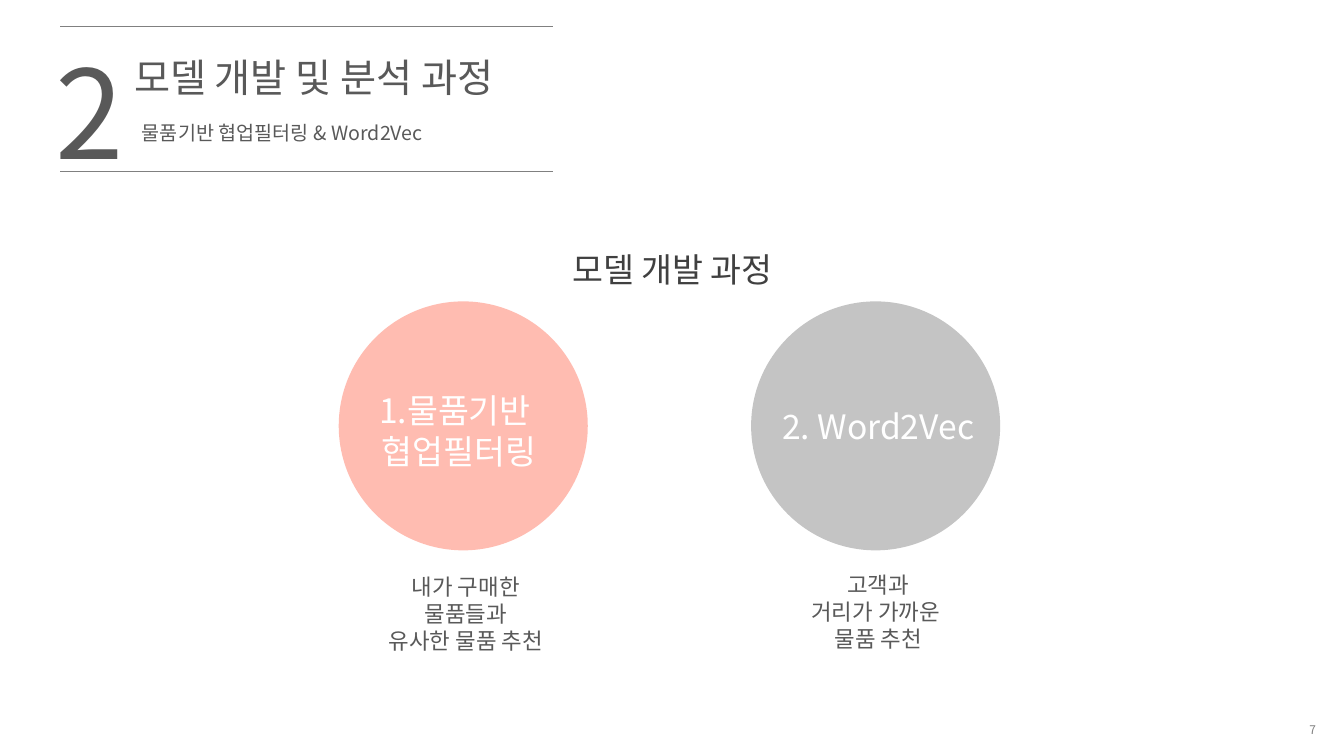
from lxml import etree
from pptx import Presentation
from pptx import util as u
from pptx.dml.color import RGBColor
from pptx.enum import shapes, text
from pptx.oxml.ns import qn

FONT = "Noto Sans CJK KR"
COLORS = {"text": "595959", "heading": "404040", "rule": "808080",
          "white": "FFFFFF", "coral": "FF6E57", "gray": "C4C4C4"}
LEFT, CENTER, RIGHT = (text.PP_ALIGN.LEFT, text.PP_ALIGN.CENTER,
                       text.PP_ALIGN.RIGHT)


def rgb(name):
    return RGBColor.from_string(COLORS[name])


def place(sp, x, y, w, h):
    sp.left, sp.top, sp.width, sp.height = map(u.Inches, (x, y, w, h))


def write(sp, lines, size, color="text", align=LEFT):
    """Fill a text shape with one paragraph per line, at a 1.2 em pitch."""
    tf = sp.text_frame
    tf.word_wrap = True
    tf.auto_size = text.MSO_AUTO_SIZE.NONE
    tf.vertical_anchor = text.MSO_ANCHOR.TOP
    tf.margin_top = u.Inches(0.05) + u.Pt(0.09 * size)
    for i, line in enumerate(lines):
        p = tf.add_paragraph() if i else tf.paragraphs[0]
        p.alignment = align
        p.line_spacing = u.Pt(1.2 * size)
        r = p.add_run()
        r.text = line
        r.font.size = u.Pt(size)
        r.font.name = FONT
        r.font.color.rgb = rgb(color)
        ea = etree.SubElement(r._r.get_or_add_rPr(), qn("a:ea"))
        ea.set("typeface", FONT)
    return tf


def add_text(s, box, *args, **kwargs):
    sp = s.shapes.add_textbox(*map(u.Inches, box))
    return write(sp, *args, **kwargs)


def add_rule(s, x, y, w):
    line = s.shapes.add_connector(
        shapes.MSO_CONNECTOR.STRAIGHT,
        *map(u.Inches, (x, y, x + w, y)))
    line.line.color.rgb = rgb("rule")
    line.line.width = u.Pt(0.75)
    etree.SubElement(line._element.spPr, qn("a:effectLst"))


def add_header(s, x, y, w, h, number, title, subtitle):
    """Section number, title and subtitle between two rules."""
    for rule_y in (y, y + h):
        add_rule(s, x, rule_y, w)
    place(s.shapes.title, x + 0.63, y + 0.18, 4.49, 0.57)
    write(s.shapes.title, [title], 28)
    add_text(s, (x + 0.71, y + 0.87, 4.57, 0.34), [subtitle], 14)
    add_text(s, (x - 0.15, y - 0.06, 1.18, 1.58), [number], 88)


def add_model(s, x, y, d, fill, alpha, label, label_box, caption, caption_box):
    """Circle of diameter d with its label inside and caption below."""
    sp = s.shapes.add_shape(shapes.MSO_SHAPE.OVAL,
                            *map(u.Inches, (x, y, d, d)))
    sp.shadow.inherit = False
    sp.fill.solid()
    sp.fill.fore_color.rgb = rgb(fill)
    sp.line.fill.background()
    if alpha < 100:
        clr = sp._element.spPr.find(".//" + qn("a:srgbClr"))
        etree.SubElement(clr, qn("a:alpha")).set("val", str(alpha * 1000))
    for lines, (dx, dy, w, h), size, color in (
            (label, label_box, 24, "white"),
            (caption, caption_box, 16, "text")):
        add_text(s, (x + dx, y + dy, w, h), lines, size, color, CENTER)


def add_page_number(s, x, y, w, h, number):
    tf = add_text(s, (x, y, w, h), [number], 8.5, "rule", RIGHT)
    tf.margin_top = u.Inches(0.05)
    tf.vertical_anchor = text.MSO_ANCHOR.MIDDLE


prs = Presentation()
prs.slide_width, prs.slide_height = u.Inches(13.33), u.Inches(7.5)
s = prs.slides.add_slide(prs.slide_layouts[5])

# Header
add_header(s, 0.6, 0.26, 4.88, 1.44, "2", "모델 개발 및 분석 과정",
           "물품기반 협업필터링 & Word2Vec")

# Two models
add_text(s, (4.78, 2.39, 3.78, 0.5), ["모델 개발 과정"], 24, "heading", CENTER)
add_model(s, 3.36, 2.99, 2.47, "coral", 46,
          ["1.물품기반 ", "협업필터링"], (-0.08, 0.8, 2.54, 0.91),
          ["내가 구매한 물품들과", "유사한 물품 추천"], (0.27, 2.63, 1.98, 0.91))
add_model(s, 7.45, 2.99, 2.47, "gray", 100,
          ["2. Word2Vec"], (0.08, 0.96, 2.36, 0.5),
          ["고객과", "거리가 가까운 ", "물품 추천"], (0.44, 2.61, 1.64, 0.91))

# Page number
add_page_number(s, 10.34, 7.1, 2.81, 0.27, "7")

prs.save("out.pptx")
